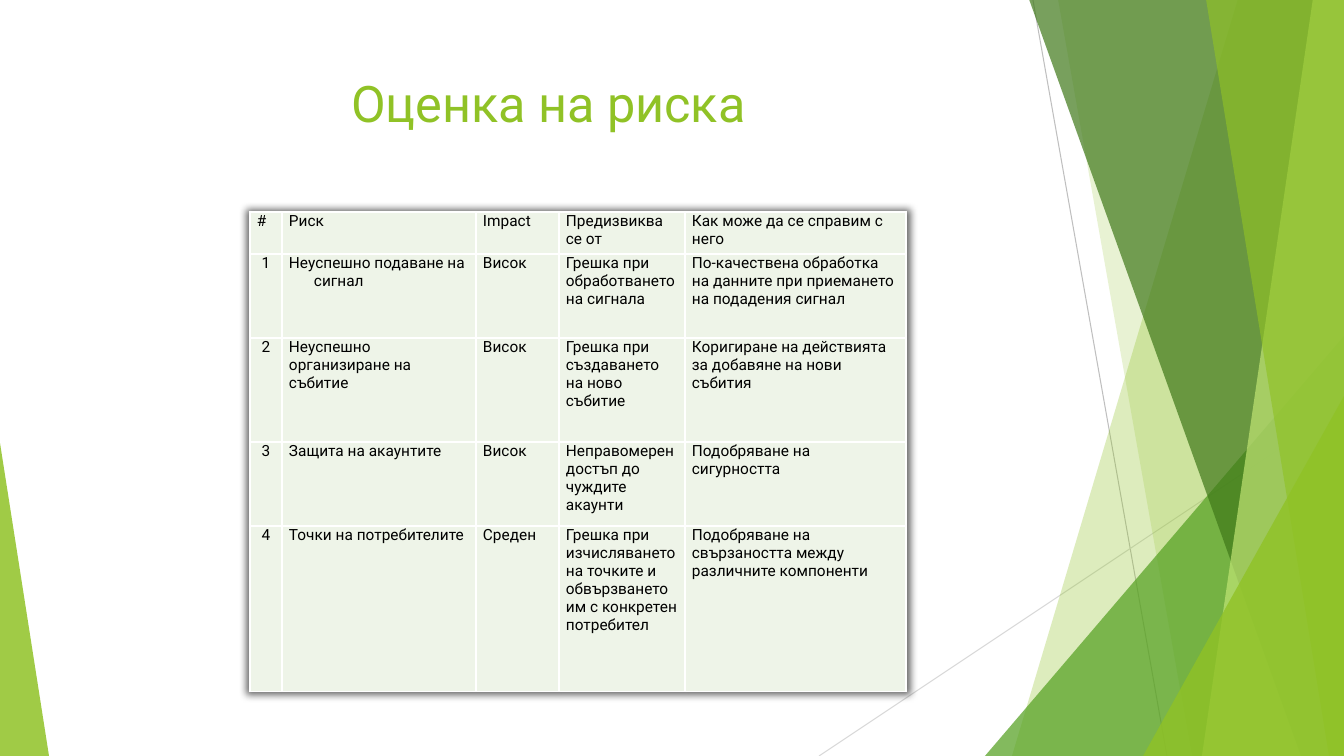
from lxml import etree
from pptx import Presentation
from pptx.dml.color import RGBColor
from pptx.enum.shapes import MSO_CONNECTOR, MSO_SHAPE
from pptx.enum.text import MSO_ANCHOR, PP_ALIGN
from pptx.oxml import parse_xml
from pptx.oxml.ns import qn
from pptx.util import Pt

PX = 914400 / 100.8
WIDTH, HEIGHT = 1344, 756
FONT = "Roboto"
STRAIGHT = MSO_CONNECTOR.STRAIGHT
TRIANGLE = MSO_SHAPE.ISOSCELES_TRIANGLE
LEFT, CENTER, JUSTIFY = PP_ALIGN.LEFT, PP_ALIGN.CENTER, PP_ALIGN.JUSTIFY
TOP = MSO_ANCHOR.TOP
NS = 'xmlns:a="http://schemas.openxmlformats.org/drawingml/2006/main"'
COLORS = {
    "lime": "90C226", "green": "54A021", "forest": "3F7819", "pale": "C0E474",
    "steep_line": "BFBFBF", "flat_line": "D9D9D9",
    "cell": "EEF4E8", "border": "FFFFFF", "text": "000000",
}
COLUMNS = [32, 194, 83, 126, 221]
ROWS = [42, 84, 104, 84, 166]
RISKS = [
    ["#", "Риск", "Impact", "Предизвиква се от", "Как може да се справим с него"],
    ["1", "Неуспешно подаване на сигнал", "Висок",
     "Грешка при обработването на сигнала",
     "По-качествена обработка на данните при приемането на подадения сигнал"],
    ["2", "Неуспешно организиране на събитие", "Висок",
     "Грешка при създаването на ново събитие",
     "Коригиране на действията за добавяне на нови събития"],
    ["3", "Защита на акаунтите", "Висок",
     "Неправомерен достъп до чуждите акаунти", "Подобряване на сигурността"],
    ["4", "Точки на потребителите", "Среден",
     "Грешка при изчисляването на точките и обвързването им с конкретен потребител",
     "Подобряване на свързаността между различните компоненти"],
]
HANGING_ROWS = (1, 3)


def px(n):
    """Turn pixels into EMU."""
    return round(n * PX)


def rgb(name):
    """Look up a colour by name."""
    return RGBColor.from_string(COLORS[name])


def paint(s, color, opacity):
    """Give a shape a see-through fill, no line and no shadow."""
    s.shadow.inherit = False
    s.fill.solid()
    s.fill.fore_color.rgb = rgb(color)
    s.line.fill.background()
    clr = s.fill._xPr.find(".//" + qn("a:srgbClr"))
    etree.SubElement(clr, qn("a:alpha"), val=str(opacity * 1000))


def add_band(slide, top_x, bottom_x, color, opacity):
    """Draw a band from a slanted left side to the slide's right edge."""
    fb = slide.shapes.build_freeform(top_x, -1, scale=PX)
    fb.add_line_segments([(WIDTH, -1), (WIDTH, HEIGHT), (bottom_x, HEIGHT)], close=True)
    paint(fb.convert_to_shape(), color, opacity)


def add_triangle(slide, left, top, width, apex, color, opacity):
    """Draw a triangle standing on the slide's bottom edge."""
    s = slide.shapes.add_shape(TRIANGLE, px(left), px(top), px(width), px(HEIGHT - top))
    s.adjustments[0] = apex
    paint(s, color, opacity)


def add_line(slide, x1, y1, x2, y2, color):
    """Draw a thin line without shadow."""
    c = slide.shapes.add_connector(STRAIGHT, px(x1), px(y1), px(x2), px(y2))
    c.line.color.rgb = rgb(color)
    c.line.width = Pt(0.75)
    etree.SubElement(c._element.spPr, qn("a:effectLst"))


def write(tf, text, size, color, align):
    """Write one formatted paragraph."""
    p = tf.paragraphs[0]
    p.alignment = align
    r = p.add_run()
    r.text = text
    for name, value in {"name": FONT, "size": Pt(size)}.items():
        setattr(r.font, name, value)
    r.font.color.rgb = rgb(color)
    return p


def add_title(slide, text):
    """Fill the title placeholder."""
    s = slide.shapes.title
    box = {"left": 75, "top": 67, "width": 947, "height": 146}
    for name, value in box.items():
        setattr(s, name, px(value))
    s.text_frame.vertical_anchor = TOP
    write(s.text_frame, text, 36, "lime", CENTER)


def format_cell(cell):
    """Set a cell's margins, borders and fill."""
    margins = {"margin_left": 7, "margin_right": 7, "margin_top": 0, "margin_bottom": 0}
    for name, value in margins.items():
        setattr(cell, name, px(value))
    for side in ("lnL", "lnR", "lnT", "lnB"):
        cell._tc.get_or_add_tcPr().append(parse_xml(
            f'<a:{side} {NS} w="12700"><a:solidFill>'
            f'<a:srgbClr val="{COLORS["border"]}"/></a:solidFill></a:{side}>'))
    cell.fill.solid()
    cell.fill.fore_color.rgb = rgb("cell")


def cell_align(row, col):
    """Choose the alignment of a cell."""
    if col == 0 and row > 0:
        return CENTER
    return JUSTIFY if (row, col) == (0, 1) else LEFT


def add_risk_table(slide, left, top):
    """Add the risk table with a soft shadow."""
    table = slide.shapes.add_table(len(ROWS), len(COLUMNS), px(left), px(top),
                                   px(sum(COLUMNS)), px(sum(ROWS))).table
    table._tbl.tblPr.insert(0, parse_xml(
        f'<a:effectLst {NS}><a:outerShdw blurRad="63500" sx="101000" sy="101000" '
        f'algn="ctr" rotWithShape="0"><a:srgbClr val="{COLORS["text"]}">'
        '<a:alpha val="60000"/></a:srgbClr></a:outerShdw></a:effectLst>'))
    for column, width in zip(table.columns, COLUMNS):
        column.width = px(width)
    for i, height in enumerate(ROWS):
        table.rows[i].height = px(height)
        for j, text in enumerate(RISKS[i]):
            cell = table.cell(i, j)
            format_cell(cell)
            p = write(cell.text_frame, text, 11, "text", cell_align(i, j))
            if j == 1 and i in HANGING_ROWS:
                pPr = p._p.get_or_add_pPr()
                pPr.set("marL", str(px(25)))
                pPr.set("indent", str(px(-25)))


def main():
    """Build the slide."""
    prs = Presentation()
    prs.slide_width, prs.slide_height = px(WIDTH), px(HEIGHT)
    slide = prs.slides.add_slide(prs.slide_layouts[5])
    add_line(slide, 1033, 0, 1167, HEIGHT, "steep_line")
    add_line(slide, WIDTH, 406, 819, HEIGHT, "flat_line")
    add_band(slide, 1238, 1012, "lime", 30)
    add_band(slide, 1058, 1192, "lime", 20)
    add_triangle(slide, 985, 336, 359, 1, "green", 72)
    add_band(slide, 1029, 1301, "forest", 70)
    add_band(slide, 1313, 1202, "pale", 70)
    add_band(slide, 1206, 1329, "lime", 65)
    add_triangle(slide, 1143, 396, 201, 1, "lime", 80)
    add_triangle(slide, 0, 443, 49, 0, "lime", 85)
    add_title(slide, "Оценка на риска")
    add_risk_table(slide, 250, 212)
    prs.save("out.pptx")


if __name__ == "__main__":
    main()
